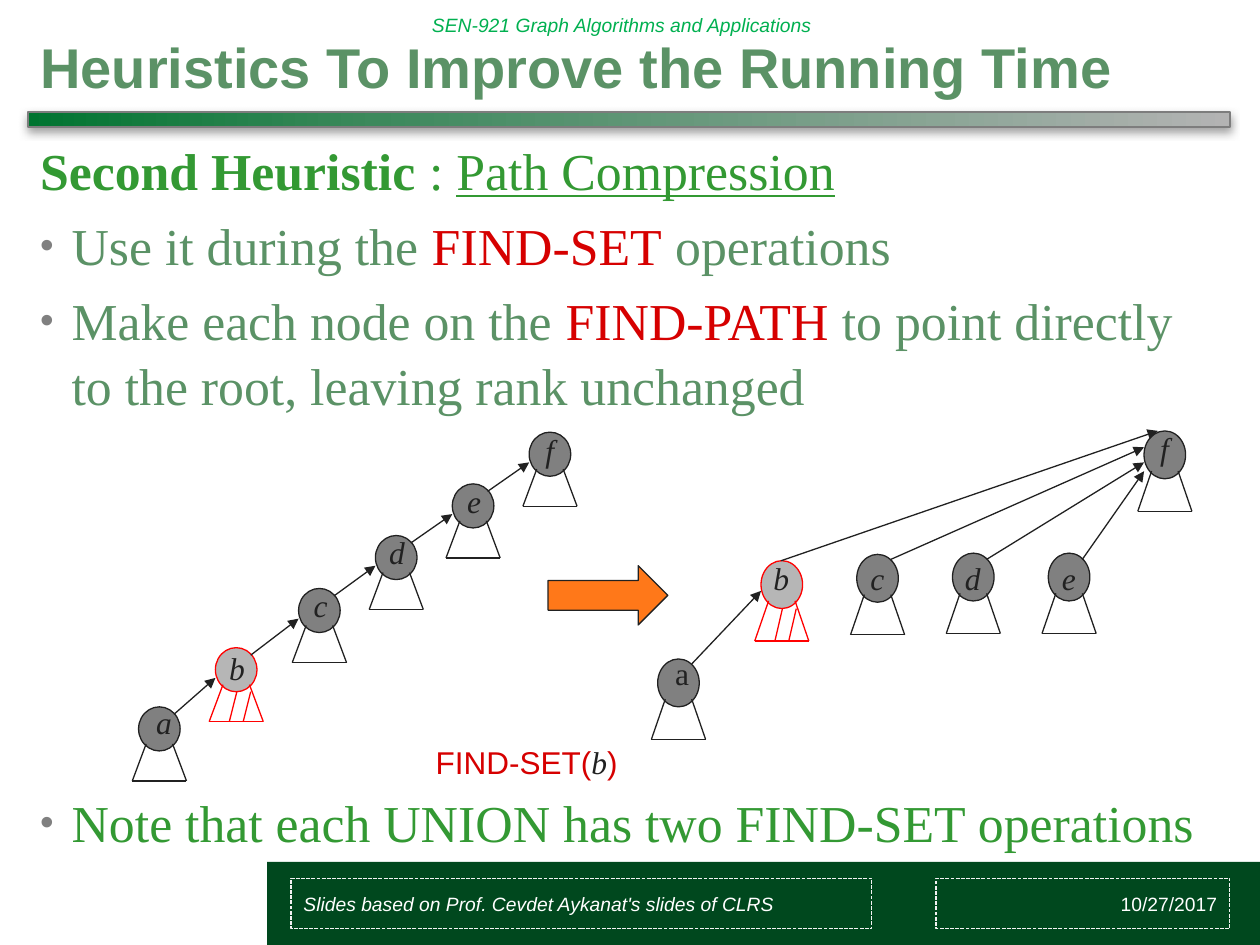
from lxml.etree import SubElement
from pptx import Presentation
from pptx.dml.color import RGBColor
from pptx.enum.dml import MSO_LINE
from pptx.enum.shapes import MSO_CONNECTOR, MSO_SHAPE
from pptx.enum.text import MSO_ANCHOR, MSO_AUTO_SIZE, PP_ALIGN
from pptx.oxml.ns import qn
from pptx.util import Inches, Pt

THEME = {
    "sans": "Arial", "serif": "Times New Roman",
    "title_size": 32, "body_size": 29.6, "label_size": 18, "small_size": 11,
    "sage": "5B9266", "green": "339933", "header": "00B050", "footer": "00481E",
    "red": "D60000", "visited": "FF0101", "ink": "212121", "gray": "808080",
    "orange": "FF7819", "white": "FFFFFF", "dash": "F2F2F2", "rule": "7D7D7D",
}
RULE_STOPS = [(0, "007430"), (29, "3C895C"), (100, "B3B3B3")]

COURSE = "SEN-921 Graph Algorithms and Applications"
TITLE = "Heuristics To Improve the Running Time"
CREDIT = "Slides based on Prof. Cevdet Aykanat's slides of CLRS"
DATE = "10/27/2017"

# Each paragraph: bulleted, space before in points, runs of (text, colour, extras)
BODY = [
    (False, 0, [("Second Heuristic", "green", {"bold": True}), (" : ", "green", {}),
                ("Path Compression", "green", {"underline": True})]),
    (True, 6, [("Use it during the ", "sage", {}), ("FIND-SET", "red", {}),
               (" operations", "sage", {})]),
    (True, 6, [("Make each node on the ", "sage", {}), ("FIND-PATH", "red", {}),
               (" to point directly to the root, leaving rank unchanged", "sage", {})]),
    (True, 213, [("Note that each UNION has two FIND-SET operations", "green", {})]),
]

# Each node: left and top of its circle, then left and top of its label
NODE_WIDTH = 0.33
LABEL_WIDTHS = {"a": 0.33, "b": 0.33, "c": 0.31, "d": 0.33, "e": 0.31, "f": 0.27}
BEFORE = {
    "a": (1.10, 5.61, 1.14, 5.53), "b": (1.71, 5.14, 1.72, 5.10),
    "c": (2.37, 4.67, 2.39, 4.60), "d": (2.98, 4.25, 2.99, 4.18),
    "e": (3.59, 3.84, 3.61, 3.78), "f": (4.20, 3.43, 4.23, 3.37),
}
AFTER = {
    "a": (5.22, 5.23, 5.26, 5.14), "b": (6.04, 4.45, 6.04, 4.39),
    "c": (6.80, 4.40, 6.81, 4.39), "d": (7.56, 4.39, 7.56, 4.39),
    "e": (8.32, 4.39, 8.33, 4.39), "f": (9.08, 3.42, 9.11, 3.36),
}
# Each edge: child, parent, start offset in the child, end offset in the parent
BEFORE_EDGES = [(child, parent, (0.28, 0.06), (0, 0.24))
                for child, parent in zip("abcde", "bcdef")]
AFTER_EDGES = [("a", "b", (0.27, 0.04), (0, 0.24)), ("b", "f", (0.16, 0), (0.11, 0)),
               ("c", "f", (0.27, 0.04), (0, 0.13)), ("d", "f", (0.27, 0.05), (0, 0.25)),
               ("e", "f", (0.27, 0.05), (0, 0.32))]


def rgb(name):
    return RGBColor.from_string(THEME[name])


def style_run(run, size, color, face="sans", **extras):
    run.font.size, run.font.name = Pt(THEME[size]), THEME[face]
    run.font.color.rgb = rgb(color)
    for key, value in extras.items():
        setattr(run.font, key, value)


def add_run(paragraph, text, *style, **extras):
    run = paragraph.add_run()
    run.text = text
    style_run(run, *style, **extras)


def add_text(shapes, box, anchor=MSO_ANCHOR.TOP, wrap=True):
    frame = shapes.add_textbox(*map(Inches, box)).text_frame
    frame.word_wrap, frame.vertical_anchor = wrap, anchor
    return frame


def add_block(shapes, kind, box, fill=None, line=None, width=0.75):
    block = shapes.add_shape(kind, *map(Inches, box))
    block.shadow.inherit = False
    if fill:
        block.fill.solid()
        block.fill.fore_color.rgb = rgb(fill)
    else:
        block.fill.background()
    if line:
        block.line.color.rgb, block.line.width = rgb(line), Pt(width)
    else:
        block.line.fill.background()
    return block


def add_line(shapes, start, end, color="ink", arrow=False):
    line = shapes.add_connector(MSO_CONNECTOR.STRAIGHT, *map(Inches, (*start, *end)))
    line.line.color.rgb, line.line.width = rgb(color), Pt(0.75)
    if arrow:
        SubElement(line.line._get_or_add_ln(), qn("a:tailEnd"), type="triangle")
    SubElement(line._element.spPr, qn("a:effectLst"))


def add_color(parent, value, alpha=100):
    color = SubElement(parent, qn("a:srgbClr"), val=value)
    if alpha < 100:
        SubElement(color, qn("a:alpha"), val=str(alpha * 1000))


def add_bullet(paragraph):
    props = paragraph._p.get_or_add_pPr()
    props.set("marL", str(Inches(0.25)))
    props.set("indent", str(-Inches(0.25)))
    add_color(SubElement(props, qn("a:buClr")), THEME["gray"])
    SubElement(props, qn("a:buSzPct"), val="75000")
    SubElement(props, qn("a:buFont"), typeface=THEME["sans"])
    SubElement(props, qn("a:buChar"), char="•")


def add_node(shapes, letter, place, height, italic):
    """Draw a circle with the subtree below it; b is the node being looked up."""
    x, y, label_x, label_y = place
    visited = letter == "b"
    color = "visited" if visited else "ink"
    circle = add_block(shapes, MSO_SHAPE.OVAL, (x, y, NODE_WIDTH, height), "gray", color)
    leg_y, base_y = y + 0.84 * height, y + 1.68 * height
    base_left, base_right = (x - 0.05, base_y), (x + 0.38, base_y)
    add_line(shapes, (x + 0.06, leg_y), base_left, color)
    add_line(shapes, base_left, base_right, color)
    add_line(shapes, (x + 0.27, leg_y), base_right, color)
    if visited:
        SubElement(circle.fill._xPr.find(".//" + qn("a:srgbClr")), qn("a:alpha"), val="57000")
        for offset in (0.17, 0.28):
            add_line(shapes, (x + offset, y + height), (x + offset - 0.06, base_y), color)
    label = add_text(shapes, (label_x, label_y, LABEL_WIDTHS[letter], 0.4), wrap=False)
    label.auto_size = MSO_AUTO_SIZE.SHAPE_TO_FIT_TEXT
    add_run(label.paragraphs[0], letter, "label_size", "ink", "serif", italic=italic)


def add_tree(slide, nodes, edges, height, upright=""):
    shapes = slide.shapes.add_group_shape().shapes
    for letter, place in nodes.items():
        add_node(shapes, letter, place, height, letter not in upright)
    for child, parent, start, end in edges:
        add_line(shapes, *[(nodes[node][0] + dx, nodes[node][1] + dy)
                           for node, (dx, dy) in ((child, start), (parent, end))], arrow=True)


def add_rule(slide):
    rule = add_block(slide.shapes, MSO_SHAPE.RECTANGLE, (0.22, 0.89, 9.54, 0.12),
                     line="rule", width=1)
    rule.fill.gradient()
    rule.fill.gradient_angle = 0
    stops = rule._element.spPr.find(".//" + qn("a:gsLst"))
    stops.clear()
    for position, value in RULE_STOPS:
        add_color(SubElement(stops, qn("a:gs"), pos=str(position * 1000)), value)
    shadow = SubElement(rule._element.spPr.find(qn("a:effectLst")), qn("a:outerShdw"),
                        blurRad=str(Pt(5)), dist=str(Pt(2)), dir="5400000", rotWithShape="0")
    add_color(shadow, THEME["gray"], 75)


def add_footer(slide, box, text, align, italic):
    footer = add_block(slide.shapes, MSO_SHAPE.RECTANGLE, box, line="dash")
    footer.line.dash_style = MSO_LINE.SQUARE_DOT
    footer.text_frame.vertical_anchor = MSO_ANCHOR.MIDDLE
    paragraph = footer.text_frame.paragraphs[0]
    paragraph.alignment = align
    add_run(paragraph, text, "small_size", "white", italic=italic)


def main():
    deck = Presentation()
    deck.slide_width, deck.slide_height = Inches(10), Inches(7.5)
    slide = deck.slides.add_slide(deck.slide_layouts[5])
    shapes = slide.shapes

    add_block(shapes, MSO_SHAPE.RECTANGLE, (2.12, 6.84, 7.88, 0.66), "footer")
    course = add_text(shapes, (3.33, 0, 4.61, 0.4), MSO_ANCHOR.MIDDLE)
    add_run(course.paragraphs[0], COURSE, "small_size", "header", italic=True)
    add_rule(slide)

    title = shapes.title
    title.left, title.top, title.width, title.height = map(Inches, (0.22, 0.16, 9.54, 0.73))
    frame = title.text_frame
    frame.text = TITLE
    frame.word_wrap, frame.auto_size = False, MSO_AUTO_SIZE.NONE
    frame.vertical_anchor = MSO_ANCHOR.MIDDLE
    frame.paragraphs[0].alignment = PP_ALIGN.LEFT
    style_run(frame.paragraphs[0].runs[0], "title_size", "sage", bold=True)

    body = add_text(shapes, (0.22, 1.03, 9.54, 5.81))
    for index, (bulleted, space, runs) in enumerate(BODY):
        paragraph = body.add_paragraph() if index else body.paragraphs[0]
        paragraph.line_spacing, paragraph.space_before = 1.04, Pt(space)
        if bulleted:
            add_bullet(paragraph)
        for text, color, extras in runs:
            add_run(paragraph, text, "body_size", color, "serif", **extras)

    add_tree(slide, BEFORE, BEFORE_EDGES, 0.35)
    arrow = add_block(shapes, MSO_SHAPE.DOWN_ARROW, (4.59, 4.25, 0.47, 0.95), "orange", "ink")
    arrow.rotation = 270
    call = add_text(shapes, (3.36, 5.85, 2.91, 0.4)).paragraphs[0]
    add_run(call, "FIND-SET(", "label_size", "red")
    add_run(call, "b", "label_size", "ink", "serif", italic=True)
    add_run(call, ")", "label_size", "red")
    add_tree(slide, AFTER, AFTER_EDGES, 0.38, upright="a")

    add_footer(slide, (7.43, 6.97, 2.33, 0.4), DATE, PP_ALIGN.RIGHT, False)
    add_footer(slide, (2.31, 6.97, 4.61, 0.4), CREDIT, PP_ALIGN.LEFT, True)
    deck.save("out.pptx")


if __name__ == "__main__":
    main()
